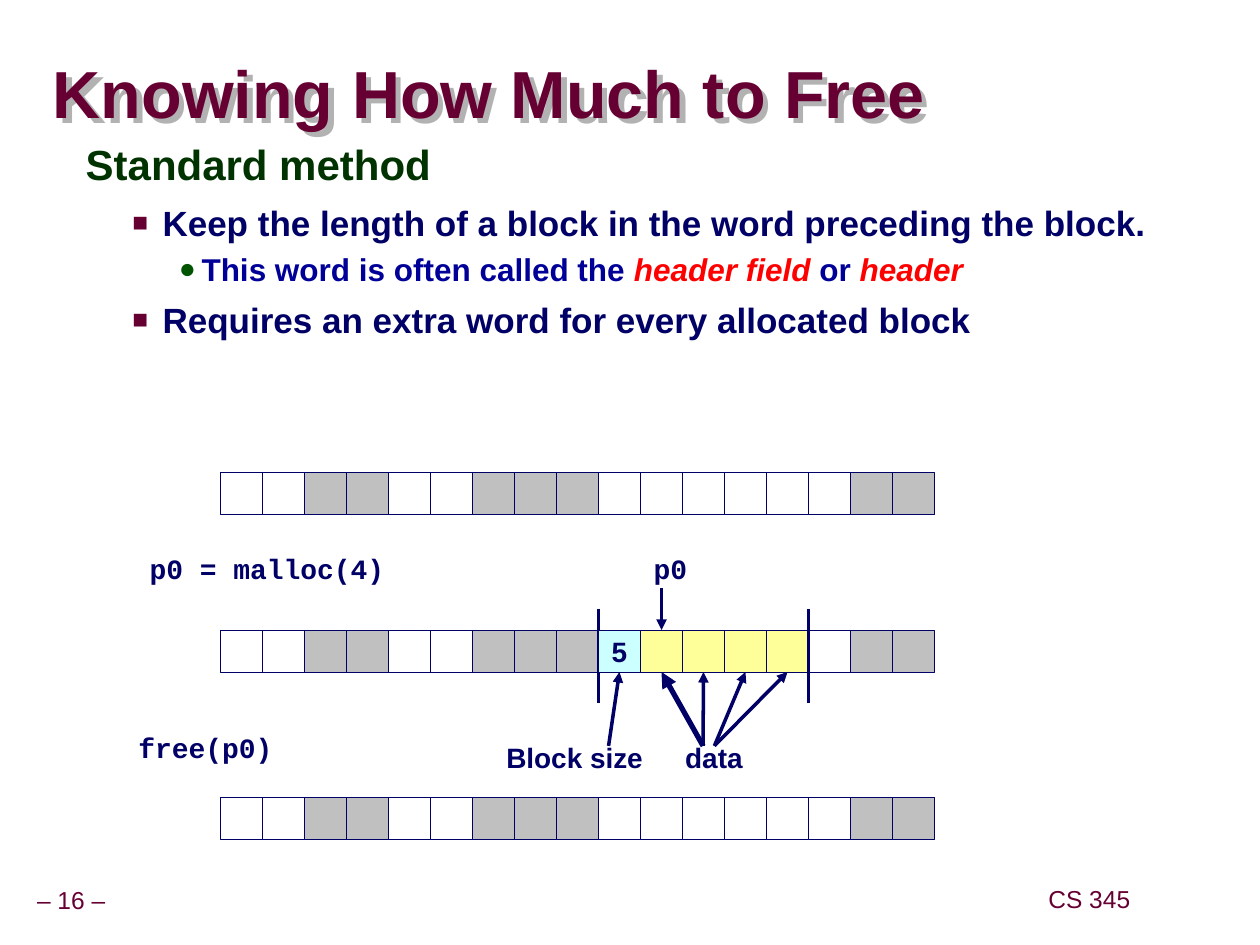
from pptx import Presentation
from pptx.dml.color import RGBColor as RGB
from pptx.enum.shapes import MSO_CONNECTOR as Conn, MSO_SHAPE as Shape
from pptx.enum.text import MSO_ANCHOR as Anchor, MSO_AUTO_SIZE as Auto, PP_ALIGN as Align
from pptx.oxml import parse_xml
from pptx.oxml.ns import nsdecls
from pptx.util import Inches, Pt

HEX = {
    "wine": "660033", "navy": "000066", "blue": "000099", "red": "FF0000",
    "pine": "003300", "green": "005400", "white": "FFFFFF", "gray": "C0C0C0",
    "yellow": "FFFF99", "cyan": "CCFFFF", "shade": "B2B2B2",
}
FILLS = {"F": "white", "U": "gray", "D": "yellow", "H": "cyan"}
HEAP = "FFUUFFUUUFFFFFFUU"
USED = "FFUUFFUUU-DDDDFUU"
SIDE = 1 / 3
LEFT = 1.75
ROW = 5
HEAD = USED.index("-")


def color(name):
    return RGB.from_string(HEX[name])


def xml(tag, inner="", attrs=""):
    return parse_xml(f"<a:{tag} {nsdecls('a')} {attrs}>{inner}</a:{tag}>")


def paint(name):
    return f'<a:srgbClr val="{HEX[name]}"/>'


def text(para, words, size=16, tint="navy", font="Arial", bold=True, italic=False):
    run = para.add_run()
    run.text = words
    face = run.font
    face.size, face.bold, face.italic = Pt(size), bold, italic
    face.name = font
    face.color.rgb = color(tint)


def inset(frame, side, edge):
    frame.margin_left = frame.margin_right = Inches(side)
    frame.margin_top = frame.margin_bottom = Inches(edge)


def place(shape, x, y, w, h):
    shape.left, shape.top = Inches(x), Inches(y)
    shape.width, shape.height = Inches(w), Inches(h)


def label(slide, words, x, y, w, h=0.37, **form):
    frame = slide.shapes.add_textbox(Inches(x), Inches(y), Inches(w), Inches(h)).text_frame
    frame.word_wrap = False
    frame.auto_size = Auto.NONE
    inset(frame, 0.1, 0.05)
    text(frame.paragraphs[0], words, **form)
    return frame


def footer(slide, words, x, y, w):
    frame = label(slide, words, x, y, w, 0.31, size=14, tint="wine", bold=False)
    inset(frame, 0.05, 0.05)
    frame.vertical_anchor = Anchor.MIDDLE
    frame.paragraphs[0].alignment = Align.CENTER
    frame.paragraphs[0].line_spacing = 0.9


def title(slide, words):
    shape = slide.shapes.title
    place(shape, 0.42, 0.46, 7.85, 0.63)
    shape.fill.background()
    shade = f'<a:outerShdw dist="{Inches(0.06)}" dir="2700000">{paint("shade")}</a:outerShdw>'
    shape._element.spPr.append(xml("effectLst", shade))
    frame = shape.text_frame
    frame.auto_size = Auto.NONE
    frame.vertical_anchor = Anchor.MIDDLE
    inset(frame, 0, 0)
    para = frame.paragraphs[0]
    para.alignment, para.line_spacing = Align.LEFT, 0.87
    text(para, words, size=38, tint="wine")


def item(frame, level, parts, size, indent, hang, before, lines=1.0, mark=None):
    para = frame.paragraphs[0]
    if para.runs:
        para = frame.add_paragraph()
    para.level = level
    para.line_spacing, para.space_before, para.space_after = lines, Pt(before), Pt(0)
    props = para._p.get_or_add_pPr()
    props.set("marL", str(Inches(indent)))
    props.set("indent", str(-Inches(hang)))
    if mark:
        sign, tint, scale = mark
        props.append(xml("buClr", paint(tint)))
        props.append(xml("buSzPct", attrs=f'val="{scale * 1000}"'))
        props.append(xml("buFont", attrs='typeface="Arial"'))
        props.append(xml("buChar", attrs=f'char="{sign}"'))
    else:
        props.append(xml("buNone"))
    for words, tint in parts:
        text(para, words, size=size, tint=tint, italic=tint == "red")


def body(slide):
    shape = slide.placeholders[1]
    place(shape, 0.58, 1.08, 9.03, 2.17)
    frame = shape.text_frame
    frame.auto_size = Auto.NONE
    frame.vertical_anchor = Anchor.TOP
    inset(frame, 0.1, 0.05)
    point = dict(size=20, indent=0.61, hang=0.24, before=6.2, mark=("■", "wine", 75))
    item(frame, 0, [("Standard method", "pine")], 24, 0.24, 0.24, 15, 0.95)
    item(frame, 1, [("Keep the length of a block in the word preceding the block.", "navy")], **point)
    item(frame, 2, [("This word is often called the ", "blue"), ("header field", "red"),
                    (" or ", "blue"), ("header", "red")],
         18, 0.92, 0.18, 2.2, 1.07, ("●", "green", 90))
    item(frame, 1, [("Requires an extra word for every allocated block", "navy")], **point)


def cell(slide, spot, y, kind):
    box = slide.shapes.add_shape(Shape.RECTANGLE, Inches(LEFT + spot * SIDE),
                                 Inches(y), Inches(SIDE), Inches(SIDE))
    box.shadow.inherit = False
    box.fill.solid()
    box.fill.fore_color.rgb = color(FILLS[kind])
    box.line.color.rgb = color("navy")
    box.line.width = Pt(0.25)
    return box


def row(slide, y, kinds):
    return {spot: cell(slide, spot, y, kind)
            for spot, kind in enumerate(kinds) if kind != "-"}


def line(slide, x1, y1, x2, y2, width):
    link = slide.shapes.add_connector(Conn.STRAIGHT, Inches(x1), Inches(y1), Inches(x2), Inches(y2))
    link.line.color.rgb = color("navy")
    link.line.width = Pt(width)
    link._element.spPr.append(xml("effectLst"))
    return link


def arrow(slide, x, y, box, side, width=2):
    link = line(slide, x, y, x, y, width)
    link.end_connect(box, side)
    link.line._get_or_add_ln().append(xml("tailEnd", attrs='type="triangle"'))


def block(slide):
    cells = row(slide, ROW, USED)
    for spot in (HEAD, HEAD + 5):
        x = LEFT + spot * SIDE
        line(slide, x, 4.83, x, 5.58, 2.25)
    head = cell(slide, HEAD, ROW, "H")
    frame = head.text_frame
    frame.word_wrap = False
    frame.vertical_anchor = Anchor.MIDDLE
    inset(frame, 0.1, 0.05)
    frame.paragraphs[0].alignment = Align.CENTER
    text(frame.paragraphs[0], "5")
    arrow(slide, 5.25, 4.67, cells[HEAD + 1], 0)
    arrow(slide, 4.83, 5.92, head, 2)
    for step, x, width in ((1, 5.58, 3), (2, 5.58, 2), (3, 5.67, 2), (4, 5.67, 2)):
        arrow(slide, x, 5.92, cells[HEAD + step], 2, width)


def main():
    deck = Presentation()
    deck.slide_width, deck.slide_height = Inches(10), Inches(7.5)
    slide = deck.slides.add_slide(deck.slide_layouts[1])
    footer(slide, "– 16 –", -0.09, 7, 1.31)
    footer(slide, "CS 345", 8.24, 6.99, 0.81)
    title(slide, "Knowing How Much to Free")
    body(slide)
    for words, x, y, w in (("free(p0)", 1, 5.75, 1.3), ("p0 = malloc(4)", 1.09, 4.33, 2.1),
                           ("p0", 5.09, 4.33, 0.5)):
        label(slide, words, x, y, w, font="Courier New")
    label(slide, "Block size", 3.92, 5.83, 1.32)
    label(slide, "data", 5.34, 5.83, 0.7)
    for y in (3.75, 6.33):
        row(slide, y, HEAP)
    block(slide)
    deck.save("out.pptx")


if __name__ == "__main__":
    main()
